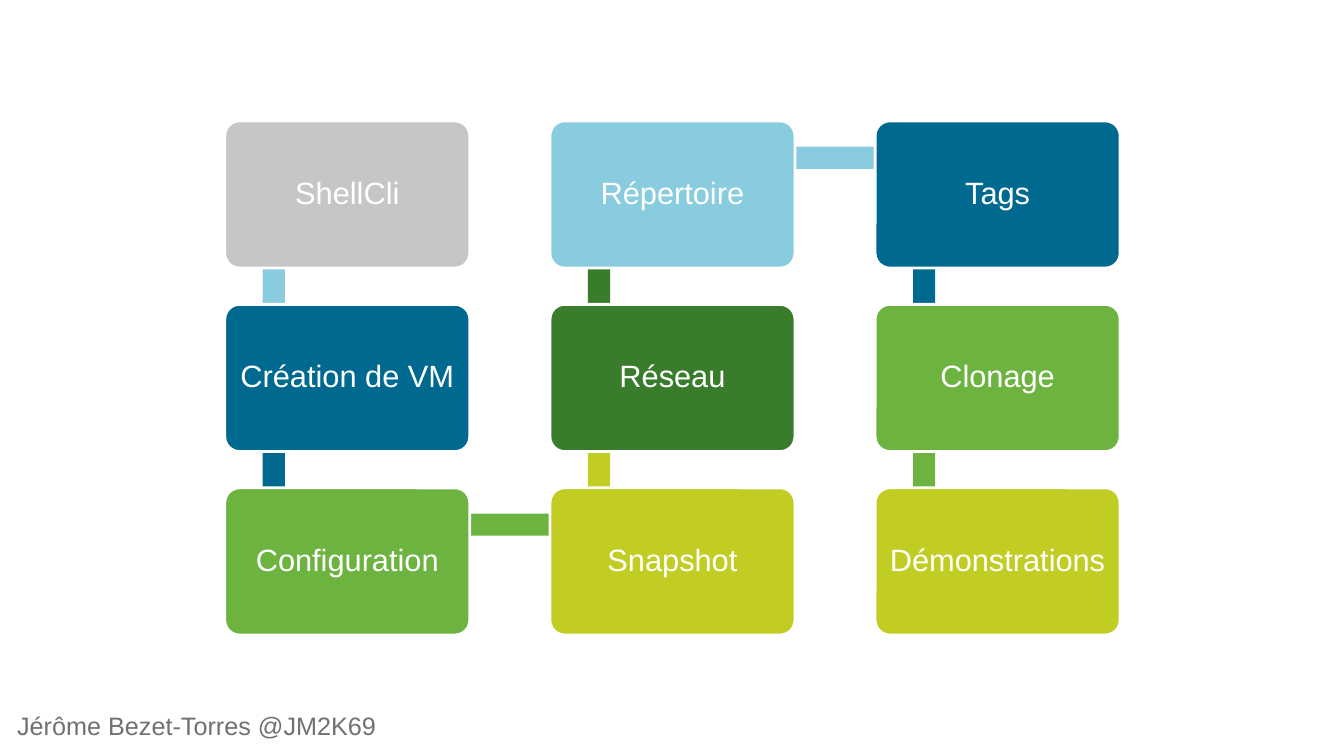
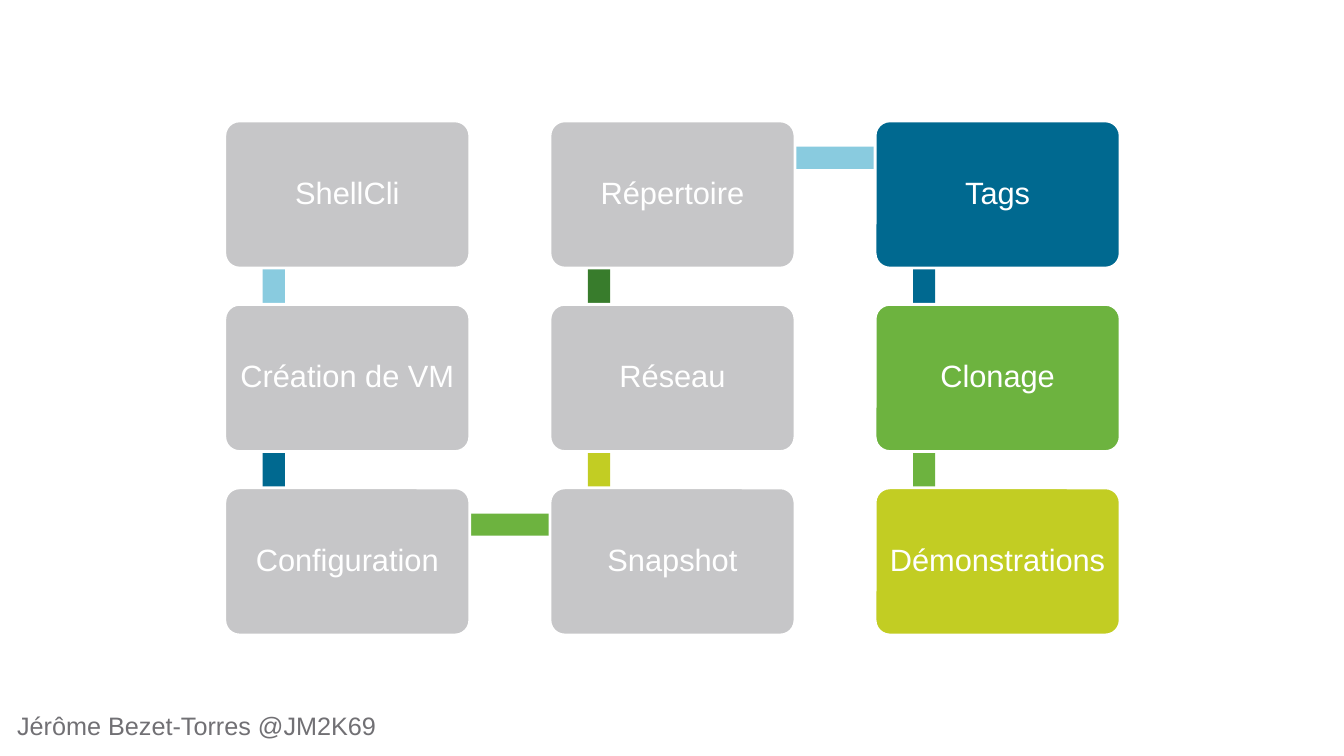
from dataclasses import dataclass

from pptx import Presentation
from pptx.dml.color import RGBColor
from pptx.enum.shapes import MSO_AUTO_SHAPE_TYPE as ShapeType
from pptx.enum.text import MSO_ANCHOR, PP_ALIGN
from pptx.presentation import Presentation as Deck
from pptx.shapes.autoshape import Shape
from pptx.slide import Slide
from pptx.text.text import TextFrame
from pptx.util import Inches, Pt

COLORS = {
    "white": "FFFFFF",
    "done": "C6C6C8",
    "footer": "717074",
    "sky": "89CBDF",
    "navy": "006990",
    "green": "6DB33F",
    "lime": "C2CD23",
    "forest": "387C2C",
}
ACCENTS = ("sky", "navy", "green", "lime", "forest")
FONT = "Arial"

SLIDE_WIDTH, SLIDE_HEIGHT = 13.33, 7.5
FOOTER = "Jérôme Bezet-Torres @JM2K69"

TOPICS = (
    "ShellCli", "Création de VM", "Configuration",
    "Snapshot", "Réseau", "Répertoire",
    "Tags", "Clonage", "Démonstrations",
)
DONE_COUNTS = (1, 6)

# Grid of topic cards, in inches
ROWS = 3
GRID_LEFT, GRID_TOP = 2.23, 1.2
COLUMN_PITCH, ROW_PITCH = 3.225, 1.82
CARD_WIDTH, CARD_HEIGHT = 2.43, 1.46
CARD_INSET = 0.09
LINK_THICKNESS = 0.22
LINK_X, LINK_Y = CARD_WIDTH / 5, CARD_HEIGHT / 4


@dataclass(frozen=True)
class Topic:
    label: str
    column: int
    row: int
    accent: str

    @property
    def left(self) -> float:
        return GRID_LEFT + self.column * COLUMN_PITCH

    @property
    def top(self) -> float:
        return GRID_TOP + self.row * ROW_PITCH


def snake_topics() -> list[Topic]:
    """Lay the topics down the first column, up the second and down the third."""
    topics = []
    for index, label in enumerate(TOPICS):
        column, step = divmod(index, ROWS)
        row = ROWS - 1 - step if column % 2 else step
        topics.append(Topic(label, column, row, ACCENTS[index % len(ACCENTS)]))
    return topics


def rgb(name: str) -> RGBColor:
    return RGBColor.from_string(COLORS[name])


def add_block(slide: Slide, kind: ShapeType, left: float, top: float,
              width: float, height: float, fill: str) -> Shape:
    """Add a filled shape without outline or shadow."""
    shape = slide.shapes.add_shape(
        kind, Inches(left), Inches(top), Inches(width), Inches(height))
    shape.shadow.inherit = False
    shape.fill.solid()
    shape.fill.fore_color.rgb = rgb(fill)
    shape.line.fill.background()
    return shape


def write_text(frame: TextFrame, text: str, size: int, color: str,
               align: PP_ALIGN, inset: float) -> None:
    frame.text = text
    frame.margin_left = frame.margin_right = Inches(inset)
    frame.margin_top = frame.margin_bottom = Inches(inset)
    paragraph = frame.paragraphs[0]
    paragraph.alignment = align
    paragraph.line_spacing = 0.9
    font = paragraph.runs[0].font
    font.name = FONT
    font.size = Pt(size)
    font.color.rgb = rgb(color)


def add_link(slide: Slide, start: Topic, end: Topic) -> None:
    """Add the bar that joins two neighbouring cards."""
    half = LINK_THICKNESS / 2
    left, top = min(start.left, end.left) + LINK_X, min(start.top, end.top) + LINK_Y
    if start.column == end.column:
        box = (left - half, top, LINK_THICKNESS, ROW_PITCH)
    else:
        box = (left, top - half, COLUMN_PITCH, LINK_THICKNESS)
    add_block(slide, ShapeType.RECTANGLE, *box, start.accent)


def add_card(slide: Slide, topic: Topic, done: bool) -> None:
    card = add_block(slide, ShapeType.ROUNDED_RECTANGLE, topic.left, topic.top,
                     CARD_WIDTH, CARD_HEIGHT, "done" if done else topic.accent)
    card.adjustments[0] = 0.1
    card.line.color.rgb = rgb("white")
    card.line.width = Pt(2)
    frame = card.text_frame
    frame.word_wrap = True
    frame.vertical_anchor = MSO_ANCHOR.MIDDLE
    write_text(frame, topic.label, 22, "white", PP_ALIGN.CENTER, CARD_INSET)


def add_footer(slide: Slide) -> None:
    box = slide.shapes.add_textbox(
        Inches(0.17), Inches(7.08), Inches(SLIDE_WIDTH * 0.3), Inches(0.35))
    box.text_frame.word_wrap = True
    write_text(box.text_frame, FOOTER, 18, "footer", PP_ALIGN.LEFT, 0)


def add_agenda_slide(presentation: Deck, done_count: int) -> None:
    """Add the agenda with its first done_count topics greyed out."""
    slide = presentation.slides.add_slide(presentation.slide_layouts[6])
    add_footer(slide)
    topics = snake_topics()
    for index, topic in enumerate(topics):
        if index + 1 < len(topics):
            add_link(slide, topic, topics[index + 1])
        add_card(slide, topic, index < done_count)


def main() -> None:
    presentation = Presentation()
    presentation.slide_width = Inches(SLIDE_WIDTH)
    presentation.slide_height = Inches(SLIDE_HEIGHT)
    for done_count in DONE_COUNTS:
        add_agenda_slide(presentation, done_count)
    presentation.save("out.pptx")


if __name__ == "__main__":
    main()
